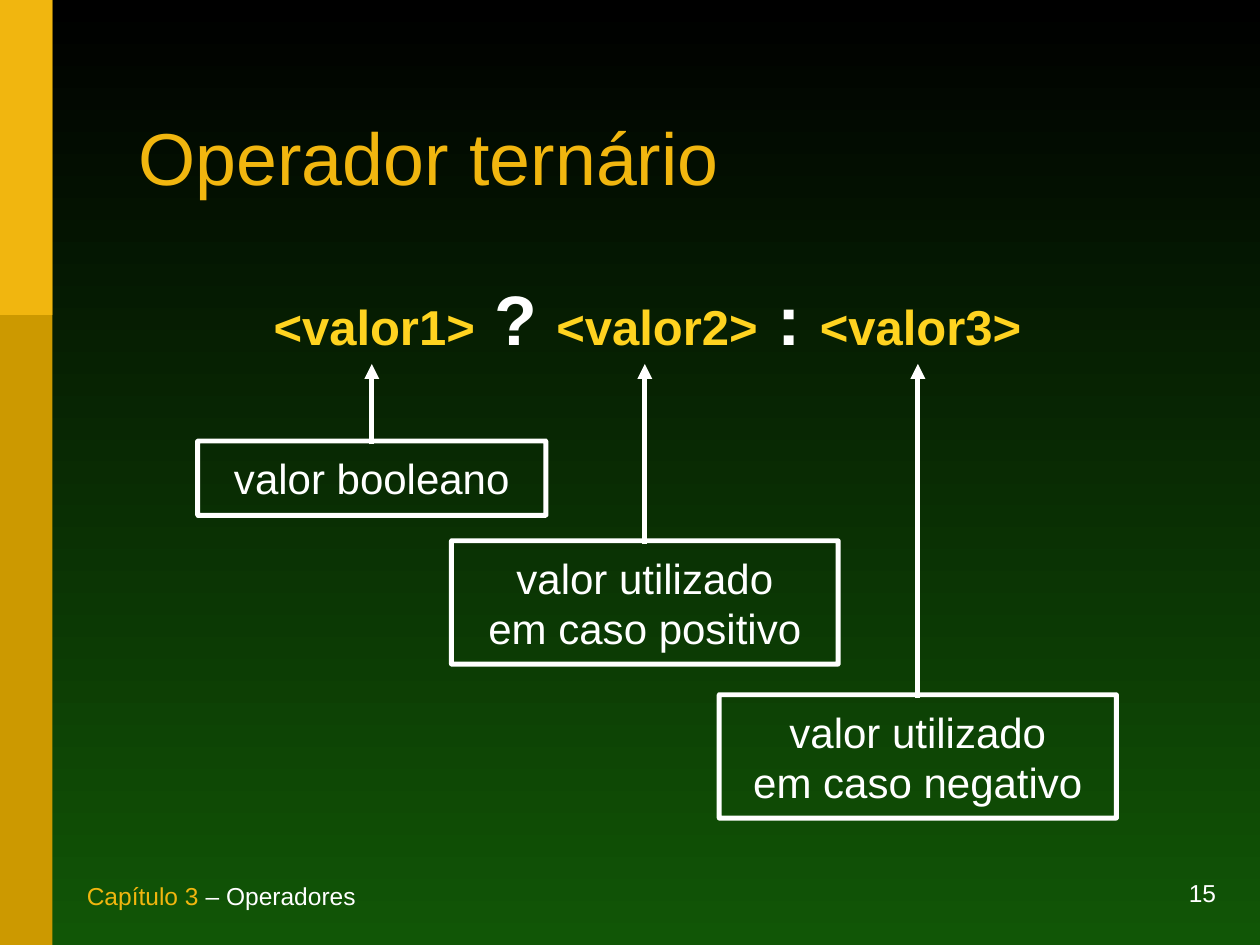
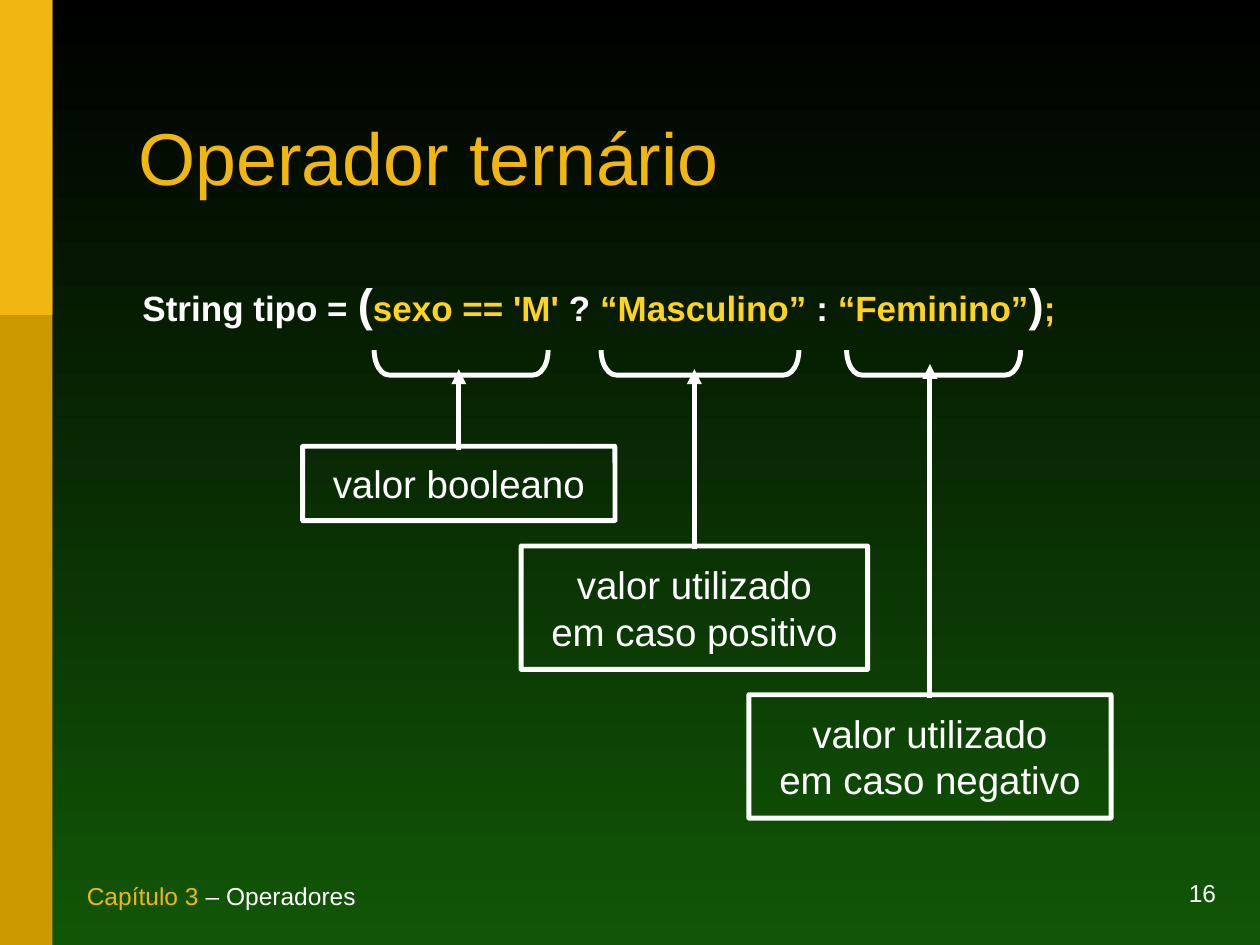
"""Build two slides that explain the ternary operator."""
import dataclasses

import lxml.etree
import pptx
import pptx.dml.color
import pptx.enum.shapes
import pptx.enum.text
import pptx.oxml.ns
import pptx.util

Pt = pptx.util.Pt
Align = pptx.enum.text.PP_ALIGN
Anchor = pptx.enum.text.MSO_ANCHOR
Shape = pptx.enum.shapes.MSO_SHAPE


@dataclasses.dataclass(frozen=True)
class Theme:
    font: str = "Arial"
    top: str = "000000"
    bottom: str = "115606"
    band: str = "CC9900"
    accent: str = "F1B60F"
    value: str = "FFD320"
    text: str = "FFFFFF"
    title_size: int = 42
    operator_size: int = 40
    operand_size: int = 28
    parenthesis_size: int = 26
    code_size: int = 20
    footer_size: int = 14
    stroke: float = 2.83


THEME = Theme()


def rgb(color):
    return pptx.dml.color.RGBColor.from_string(color)


def apply(target, values):
    for name, value in values.items():
        setattr(target, name, value)


def place(left, top, width, height):
    return dict(left=Pt(left), top=Pt(top), width=Pt(width), height=Pt(height))


class Deck:
    """Holds the style and the slide being drawn."""

    def __init__(self, theme):
        self.theme = theme
        self.presentation = pptx.Presentation()
        apply(self.presentation, dict(slide_width=Pt(720), slide_height=Pt(540)))
        fill = self.presentation.slide_master.background.fill
        fill.gradient()
        fill.gradient_angle = 270
        for stop, position, color in zip(fill.gradient_stops, (0, 1), (theme.top, theme.bottom)):
            stop.position = position
            stop.color.rgb = rgb(color)

    def add_slide(self, title, number):
        theme = self.theme
        self.slide = self.presentation.slides.add_slide(self.presentation.slide_layouts[5])
        self.band(540, theme.band)
        self.band(180, theme.accent)
        placeholder = self.slide.shapes.title
        apply(placeholder, place(72, 42.5, 593.5, 101))
        self.set_text(placeholder, [[(title, theme.title_size, theme.accent)]],
                      paragraph_format=dict(alignment=Align.LEFT, line_spacing=0.85))
        footer = dict(vertical_anchor=Anchor.BOTTOM)
        self.text_box((522, 504, 180, 18), [(str(number), theme.footer_size, theme.text)],
                      footer, dict(alignment=Align.RIGHT))
        self.text_box((42.5, 506, 312, 18), [
            ("Capítulo 3", theme.footer_size, theme.accent),
            (" – Operadores", theme.footer_size, theme.text)], footer)

    def set_text(self, shape, lines, frame_format=None, paragraph_format=None, bold=False):
        frame = shape.text_frame
        apply(frame, dict(word_wrap=True, vertical_anchor=Anchor.MIDDLE) | (frame_format or {}))
        for index, runs in enumerate(lines):
            paragraph = frame.add_paragraph() if index else frame.paragraphs[0]
            apply(paragraph, paragraph_format or {})
            for text, size, color in runs:
                run = paragraph.add_run()
                run.text = text
                apply(run.font, dict(name=self.theme.font, size=Pt(size), bold=bold))
                run.font.color.rgb = rgb(color)

    def text_box(self, area, runs, frame_format, paragraph_format=None, bold=False):
        shape = self.slide.shapes.add_textbox(*map(Pt, area))
        self.set_text(shape, [runs], frame_format, paragraph_format, bold)

    def code(self, runs, alignment):
        frame_format = dict(vertical_anchor=Anchor.TOP, margin_left=Pt(9.4), margin_top=Pt(6.5))
        self.text_box((72, 151, 593.5, 59), runs, frame_format, dict(alignment=alignment), bold=True)

    def band(self, height, color):
        shape = self.slide.shapes.add_shape(Shape.RECTANGLE, 0, 0, Pt(30), Pt(height))
        shape.shadow.inherit = False
        shape.fill.solid()
        shape.fill.fore_color.rgb = rgb(color)
        shape.line.fill.background()

    def stroke(self, line):
        line.color.rgb = rgb(self.theme.text)
        line.width = Pt(self.theme.stroke)

    def outline(self, kind, area, corner):
        shape = self.slide.shapes.add_shape(kind, *map(Pt, area))
        shape.adjustments[0] = corner
        shape.shadow.inherit = False
        shape.fill.background()
        self.stroke(shape.line)
        return shape

    def bracket(self, center, length):
        depth, middle = 14.2, 207.2
        area = (center - depth / 2, middle - length / 2, depth, length)
        self.outline(Shape.RIGHT_BRACKET, area, 0.6).rotation = 90

    def arrow(self, x, start, tip):
        connector = self.slide.shapes.add_connector(
            pptx.enum.shapes.MSO_CONNECTOR.STRAIGHT, Pt(x), Pt(start), Pt(x), Pt(tip))
        self.stroke(connector.line)
        qn = pptx.oxml.ns.qn
        properties = connector.element.spPr
        lxml.etree.SubElement(properties.find(qn("a:ln")), qn("a:tailEnd"), type="triangle")
        lxml.etree.SubElement(properties, qn("a:effectLst"))

    def callout(self, lines, size, center, top, width, tip):
        area = (center - width / 2, top, width, 14.5 + 28 * len(lines))
        shape = self.outline(Shape.ROUNDED_RECTANGLE, area, 0.003)
        self.set_text(shape, [[(line, size, self.theme.text)] for line in lines],
                      dict(margin_left=Pt(8.5), margin_right=Pt(8.5), margin_top=Pt(5), margin_bottom=Pt(5)),
                      dict(alignment=Align.CENTER))
        self.arrow(center, top + 2, tip)

    def callouts(self, size, first_center, step, tops, widths, tips):
        for index, (lines, top, width, tip) in enumerate(zip(MEANINGS, tops, widths, tips)):
            self.callout(lines, size, first_center + index * step, top, width, tip)


TITLE = "Operador ternário"
MEANINGS = (
    ["valor booleano"],
    ["valor utilizado", "em caso positivo"],
    ["valor utilizado", "em caso negativo"],
)

deck = Deck(THEME)

deck.add_slide(TITLE, 15)
syntax = []
for number, operator in enumerate((" ? ", " : ", ""), 1):
    syntax.append((f"<valor{number}>", THEME.operand_size, THEME.value))
    if operator:
        syntax.append((operator, THEME.operator_size, THEME.text))
deck.code(syntax, Align.CENTER)
deck.callouts(24, 212.5, 156, (252, 309, 397), (199, 221, 227), (208, 208, 208))

deck.add_slide(TITLE, 16)
deck.code([
    ("String tipo = ", THEME.code_size, THEME.text),
    ("(", THEME.parenthesis_size, THEME.text),
    ("sexo == 'M' ", THEME.code_size, THEME.value),
    ("?", THEME.code_size, THEME.text),
    (" “Masculino” ", THEME.code_size, THEME.value),
    (":", THEME.code_size, THEME.text),
    (" “Feminino”", THEME.code_size, THEME.value),
    (")", THEME.parenthesis_size, THEME.text),
    (";", THEME.code_size, THEME.value),
], Align.LEFT)
for center, length in ((263.5, 99.4), (400, 113), (533.5, 99.4)):
    deck.bracket(center, length)
deck.callouts(22, 262.2, 134.6, (255, 312, 397), (178.5, 198, 207), (211, 211, 208))

deck.presentation.save("out.pptx")
